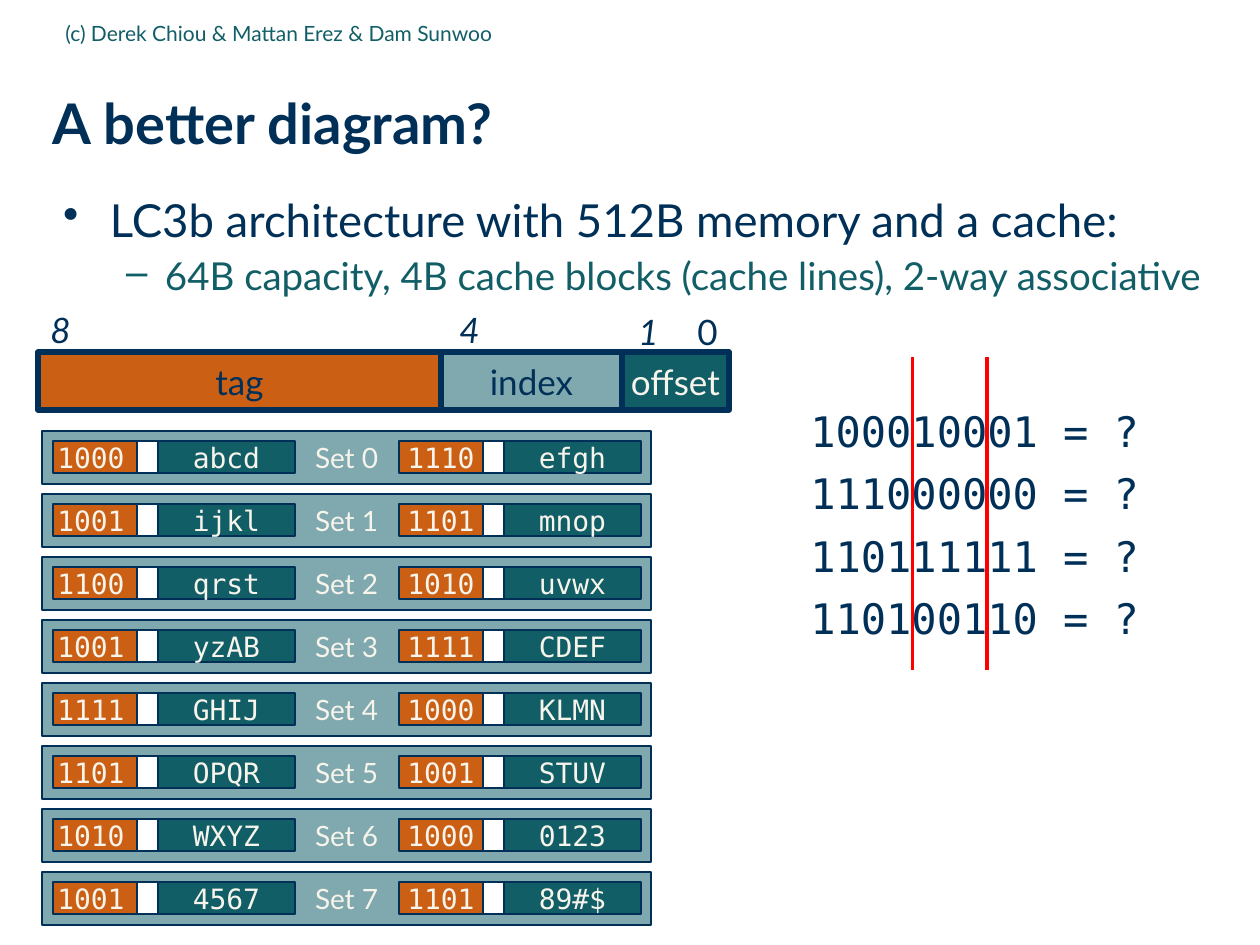
from lxml.etree import SubElement
from pptx import Presentation
from pptx.dml.color import RGBColor
from pptx.enum.shapes import MSO_CONNECTOR, MSO_SHAPE
from pptx.enum.text import MSO_ANCHOR, MSO_AUTO_SIZE, PP_ALIGN
from pptx.oxml.ns import qn
from pptx.util import Emu, Pt

NAVY = RGBColor(0x00, 0x30, 0x57)
TEAL = RGBColor(0x11, 0x5E, 0x67)
SAGE = RGBColor(0x7F, 0xA9, 0xAE)
ORANGE = RGBColor(0xCB, 0x60, 0x15)
CREAM = RGBColor(0xF7, 0xF4, 0xEC)
WHITE = RGBColor(0xFF, 0xFF, 0xFF)
RED = RGBColor(0xFF, 0x00, 0x00)
SANS, MONO = "Lato", "DejaVu Sans Mono"

# Content
TITLE = "A better diagram?"
CREDIT = "(c) Derek Chiou & Mattan Erez & Dam Sunwoo"
# text, bullet, level, size, colour, left margin, hanging indent, space before
BULLETS = [
    ("LC3b architecture with 512B memory and a cache:",
     "•", 0, 26, NAVY, 47, 47, 6.5),
    ("64B capacity, 4B cache blocks (cache lines), 2-way associative",
     "–", 1, 22, TEAL, 102, 39, 6),
]
# name, left, width, fill, text colour
ADDRESS_FIELDS = [
    ("tag", 38, 403, ORANGE, NAVY),
    ("index", 441, 181, SAGE, NAVY),
    ("offset", 622, 107, TEAL, CREAM),
]
# bit number, left, top, italic
BIT_NUMBERS = [("8", 38, 302, True), ("4", 447, 302, True),
               ("1", 626, 304, True), ("0", 685, 304, False)]
# (tag, data) of each way, one row per set
CACHE_SETS = [
    [("1000", "abcd"), ("1110", "efgh")],
    [("1001", "ijkl"), ("1101", "mnop")],
    [("1100", "qrst"), ("1010", "uvwx")],
    [("1001", "yzAB"), ("1111", "CDEF")],
    [("1111", "GHIJ"), ("1000", "KLMN")],
    [("1101", "OPQR"), ("1001", "STUV")],
    [("1010", "WXYZ"), ("1000", "0123")],
    [("1001", "4567"), ("1101", "89#$")],
]
LOOKUPS = ["100010001 = ?", "111000000 = ?", "110111111 = ?", "110100110 = ?"]

# Layout, in pixels
SET_LEFT, SET_TOP, SET_WIDTH, SET_HEIGHT, SET_PITCH = 42, 431, 609, 53, 63
WAY_LEFTS, WAY_INSET, CELL_HEIGHT = (53, 399), 10, 32
TAG_WIDTH, VALID_WIDTH, DATA_WIDTH = 84, 21, 137
LOOKUP_LEFT, LOOKUP_TOP, LOOKUP_PITCH = 798, 399, 62.5
SPLIT_XS, SPLIT_TOP, SPLIT_BOTTOM = (913, 987), 357, 670


def px(value):
    return Emu(round(value * 914400 / 126))


def style(para, size, color, font=SANS, align=PP_ALIGN.LEFT):
    para.alignment = align
    para.font.size = Pt(size)
    para.font.name = font
    para.font.color.rgb = color


def add_cell(left, top, width, height, fill, text="", size=16, color=CREAM,
             font=MONO, align=PP_ALIGN.CENTER, border=0.75):
    cell = page.shapes.add_shape(MSO_SHAPE.RECTANGLE, px(left), px(top),
                                 px(width), px(height))
    cell.shadow.inherit = False
    cell.fill.solid()
    cell.fill.fore_color.rgb = fill
    cell.line.color.rgb = NAVY
    cell.line.width = Pt(border)
    if text:
        frame = cell.text_frame
        frame.word_wrap = False
        frame.vertical_anchor = MSO_ANCHOR.MIDDLE
        frame.text = text
        style(frame.paragraphs[0], size, color, font, align)


def add_label(text, left, top, width, height, size, font=SANS):
    box = page.shapes.add_textbox(px(left), px(top), px(width), px(height))
    frame = box.text_frame
    frame.word_wrap = False
    frame.auto_size = MSO_AUTO_SIZE.SHAPE_TO_FIT_TEXT
    frame.text = text
    style(frame.paragraphs[0], size, NAVY, font)
    return frame.paragraphs[0]


def clear_margins(frame):
    frame.margin_left = frame.margin_right = 0
    frame.margin_top = frame.margin_bottom = 0


deck = Presentation()
deck.slide_width, deck.slide_height = px(1260), px(945)
page = deck.slides.add_slide(deck.slide_layouts[5])

# Title
title = page.shapes.title
title.left, title.top, title.width, title.height = px(53), px(63), px(1186), px(123)
frame = title.text_frame
clear_margins(frame)
frame.vertical_anchor = MSO_ANCHOR.MIDDLE
frame.text = TITLE
para = frame.paragraphs[0]
style(para, 32, NAVY)
para.font.bold = True
para.line_spacing = 0.99

# Bullets
frame = page.shapes.add_textbox(px(63), px(198), px(1176), px(117)).text_frame
frame.word_wrap = True
clear_margins(frame)
for number, (text, mark, level, size, color, margin, hang, before) in enumerate(BULLETS):
    para = frame.add_paragraph() if number else frame.paragraphs[0]
    para.text = text
    para.level = level
    style(para, size, color)
    para.line_spacing = 0.9
    para.space_before = Pt(before)
    properties = para._p.get_or_add_pPr()
    properties.set("marL", str(px(margin)))
    properties.set("indent", str(-px(hang)))
    bullet = SubElement(properties, qn("a:buChar"), char=mark)
    properties.find(qn("a:defRPr")).addprevious(bullet)

# Credit line
frame = page.shapes.add_textbox(px(53), px(4), px(714), px(58)).text_frame
frame.word_wrap = True
frame.vertical_anchor = MSO_ANCHOR.MIDDLE
frame.text = CREDIT
style(frame.paragraphs[0], 12, TEAL)

# Cache sets, each with two ways
for number, ways in enumerate(CACHE_SETS):
    top = SET_TOP + number * SET_PITCH
    add_cell(SET_LEFT, top, SET_WIDTH, SET_HEIGHT, SAGE, f"Set {number}", font=SANS)
    for left, (tag, data), align in zip(WAY_LEFTS, ways,
                                        (PP_ALIGN.RIGHT, PP_ALIGN.CENTER)):
        valid_left = left + TAG_WIDTH
        cell_top = top + WAY_INSET
        add_cell(valid_left + VALID_WIDTH, cell_top, DATA_WIDTH, CELL_HEIGHT, TEAL, data)
        add_cell(valid_left, cell_top, VALID_WIDTH, CELL_HEIGHT, WHITE)
        add_cell(left, cell_top, TAG_WIDTH, CELL_HEIGHT, ORANGE, tag, align=align)

# Address fields and bit numbers
for name, left, width, fill, color in ADDRESS_FIELDS:
    add_cell(left, 352, width, 58, fill, name, 20, color, SANS, border=3)
for bit, left, top, italic in BIT_NUMBERS:
    add_label(bit, left, top, 45, 55, 20).font.italic = italic

# Lookups, split into tag, index and offset
for number, lookup in enumerate(LOOKUPS):
    add_label(lookup, LOOKUP_LEFT, LOOKUP_TOP + number * LOOKUP_PITCH, 355, 63, 24, MONO)
for x in SPLIT_XS:
    split = page.shapes.add_connector(MSO_CONNECTOR.STRAIGHT, px(x), px(SPLIT_TOP),
                                      px(x), px(SPLIT_BOTTOM))
    split.line.color.rgb = RED
    split.line.width = Pt(1.75)
    SubElement(split._element.spPr, qn("a:effectLst"))

deck.save("out.pptx")
